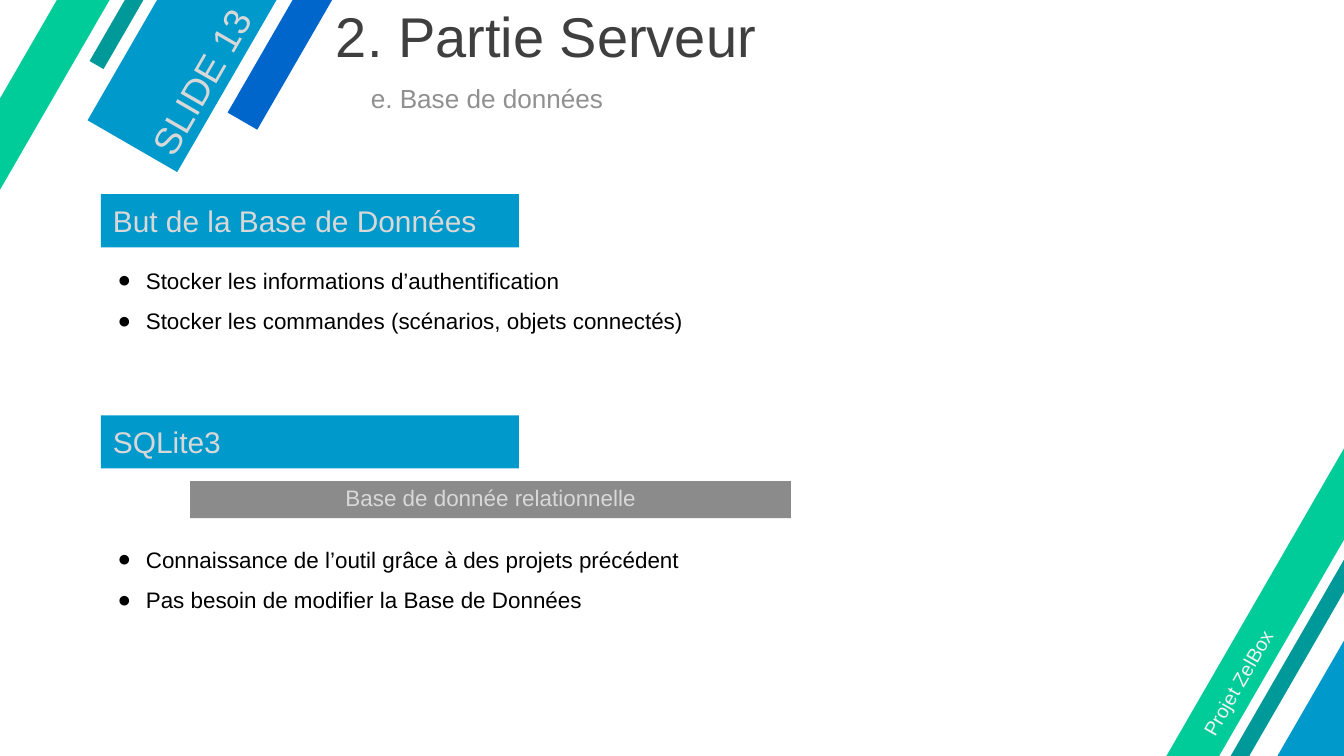
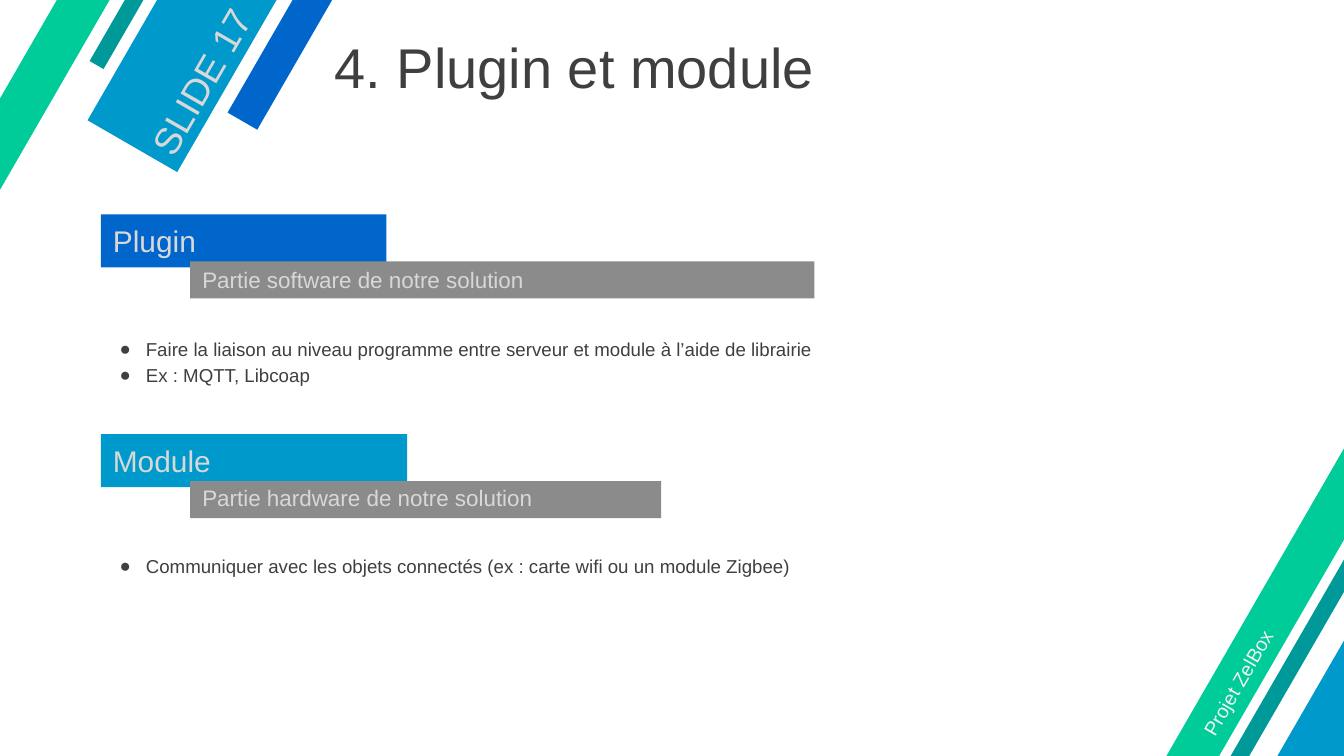
from lxml import etree
from pptx import Presentation
from pptx import util as u
from pptx.dml.color import RGBColor
from pptx.enum import shapes, text
from pptx.oxml import ns

FONT = "Arial"
ROYAL = RGBColor(0x00, 0x66, 0xCC)
BLUE = RGBColor(0x00, 0x99, 0xCC)
TEAL = RGBColor(0x00, 0x99, 0x99)
GREEN = RGBColor(0x00, 0xCC, 0x99)
GRAY = RGBColor(0x8B, 0x8B, 0x8B)
SUBTITLE_GRAY = RGBColor(0x90, 0x90, 0x90)
DARK = RGBColor(0x3F, 0x3F, 0x3F)
BLACK = RGBColor(0x00, 0x00, 0x00)
LIGHT = RGBColor(0xD8, 0xD8, 0xD8)
OFF_WHITE = RGBColor(0xF2, 0xF2, 0xF2)

SLANT = 300
PADDING = (0.18, 0.09, 0.18, 0.09)
SIDES = ("left", "top", "right", "bottom")
MIDDLE, TOP = text.MSO_ANCHOR.MIDDLE, text.MSO_ANCHOR.TOP
LEFT, CENTER = text.PP_ALIGN.LEFT, text.PP_ALIGN.CENTER

# Slanted bands: left, top, width, height, colour
BANDS = [
    (-1.42, -7.16, 20.11, 0.51, ROYAL),
    (-3.05, -7.29, 20.08, 1.54, BLUE),
    (-3.59, -7.86, 20.11, 0.24, TEAL),
    (-5.83, -5.47, 20.06, 0.68, GREEN),
    (13.68, 3.86, 20.08, 1.54, BLUE),
    (12.9, 3.33, 20.11, 0.24, TEAL),
    (10.71, 5.73, 20.06, 0.68, GREEN),
]


def inches(*lengths):
    return [u.Inches(length) for length in lengths]


def add_bar(slide, left, top, width, height, color, rotation=0):
    bar = slide.shapes.add_shape(
        shapes.MSO_SHAPE.RECTANGLE, *inches(left, top, width, height))
    bar.shadow.inherit = False
    bar.fill.solid()
    bar.fill.fore_color.rgb = color
    bar.line.fill.background()
    bar.rotation = rotation
    return bar


def write(shape, lines, size, color, anchor=MIDDLE, align=LEFT, spacing=1.0,
          padding=PADDING):
    """Fill a shape with one paragraph per line, all in one format."""
    frame = shape.text_frame
    frame.word_wrap = True
    frame.vertical_anchor = anchor
    for side, inset in zip(SIDES, padding):
        setattr(frame, f"margin_{side}", u.Inches(inset))
    frame.text = "\n".join(lines)
    font_format = {"name": FONT, "size": u.Pt(size)}
    for paragraph in frame.paragraphs:
        paragraph.alignment = align
        paragraph.line_spacing = spacing
        for run in paragraph.runs:
            for name, value in font_format.items():
                setattr(run.font, name, value)
            run.font.color.rgb = color


def add_label(slide, box, words, size, color, rotation=0, **layout):
    label = slide.shapes.add_textbox(*inches(*box))
    label.rotation = rotation
    write(label, [words], size, color, **layout)


def add_heading(slide, top, width, words, color=BLUE):
    write(add_bar(slide, 1.5, top, width, 0.79, color), [words], 32, LIGHT)


def add_tagline(slide, top, width, words, **layout):
    tagline = add_bar(slide, 2.83, top, width, 0.55, GRAY)
    write(tagline, [words], 24, LIGHT, **layout)


def add_bullets(slide, top, points, size, color, spacing, hanging, inset=0.09):
    points_box = slide.shapes.add_textbox(*inches(1.49, top, 16.69, 1.65))
    write(points_box, points, size, color, anchor=TOP, spacing=spacing,
          align=text.PP_ALIGN.JUSTIFY, padding=(0.18, inset, 0.18, 0.09))
    for paragraph in points_box.text_frame.paragraphs:
        properties = paragraph._p.get_or_add_pPr()
        properties.set("marL", str(u.Inches(0.5)))
        properties.set("indent", str(-u.Inches(hanging)))
        bullet_color = etree.SubElement(properties, ns.qn("a:buClr"))
        etree.SubElement(bullet_color, ns.qn("a:srgbClr"), val=str(color))
        etree.SubElement(properties, ns.qn("a:buFont"), typeface=FONT)
        etree.SubElement(properties, ns.qn("a:buChar"), char="●")


def add_themed_slide(deck, number, title, left, top):
    """Blank slide with the bands, title, slide number and project name."""
    slide = deck.slides.add_slide(deck.slide_layouts[6])
    for *box, color in BANDS:
        add_bar(slide, *box, color, rotation=SLANT)
    add_label(slide, (left, top, 14.96, 1.08), title, 60, DARK)
    add_label(slide, (1.47, 0.66, 3.32, 0.6), f"SLIDE {number}", 40, LIGHT, SLANT)
    add_label(slide, (16.31, 8.03, 6.33, 0.6), "Projet ZelBox", 21, OFF_WHITE, SLANT)
    return slide


def build_database_slide(deck):
    slide = add_themed_slide(deck, 13, "2. Partie Serveur", 4.82, -0.02)
    add_label(slide, (5.42, 1.1, 14.96, 0.58), "e. Base de données", 28,
              SUBTITLE_GRAY, anchor=TOP, spacing=1.07, padding=(0.1,) * 4)
    bullet_style = {"size": 24, "color": BLACK, "spacing": 1.5, "hanging": 0.42}

    # Purpose of the database
    add_heading(slide, 2.89, 6.22, "But de la Base de Données")
    add_bullets(slide, 3.68, [
        "Stocker les informations d’authentification",
        "Stocker les commandes (scénarios, objets connectés)",
    ], **bullet_style)

    # Chosen engine
    add_heading(slide, 6.18, 6.22, "SQLite3")
    add_tagline(slide, 7.16, 8.94, "Base de donnée relationnelle",
                align=CENTER, spacing=0.9)
    add_bullets(slide, 7.83, [
        "Connaissance de l’outil grâce à des projets précédent",
        "Pas besoin de modifier la Base de Données",
    ], **bullet_style)


def build_plugin_slide(deck):
    slide = add_themed_slide(deck, 17, "4. Plugin et module", 4.8, 0.45)
    bullet_style = {"size": 20, "color": DARK, "spacing": 1.15,
                    "hanging": 0.39, "inset": 0.46}

    # Software side
    add_heading(slide, 3.19, 4.25, "Plugin", ROYAL)
    add_tagline(slide, 3.89, 9.29, "Partie software de notre solution")
    add_bullets(slide, 4.52, [
        "Faire la liaison au niveau programme entre serveur et module "
        "à l’aide de librairie",
        "Ex : MQTT, Libcoap",
    ], **bullet_style)

    # Hardware side
    add_heading(slide, 6.46, 4.56, "Module")
    add_tagline(slide, 7.16, 7.01, "Partie hardware de notre solution", spacing=0.9)
    add_bullets(slide, 7.83, [
        "Communiquer avec les objets connectés "
        "(ex : carte wifi ou un module Zigbee)",
    ], **bullet_style)


def main():
    deck = Presentation()
    deck.slide_width, deck.slide_height = inches(20, 11.25)
    build_database_slide(deck)
    build_plugin_slide(deck)
    deck.save("out.pptx")


if __name__ == "__main__":
    main()
